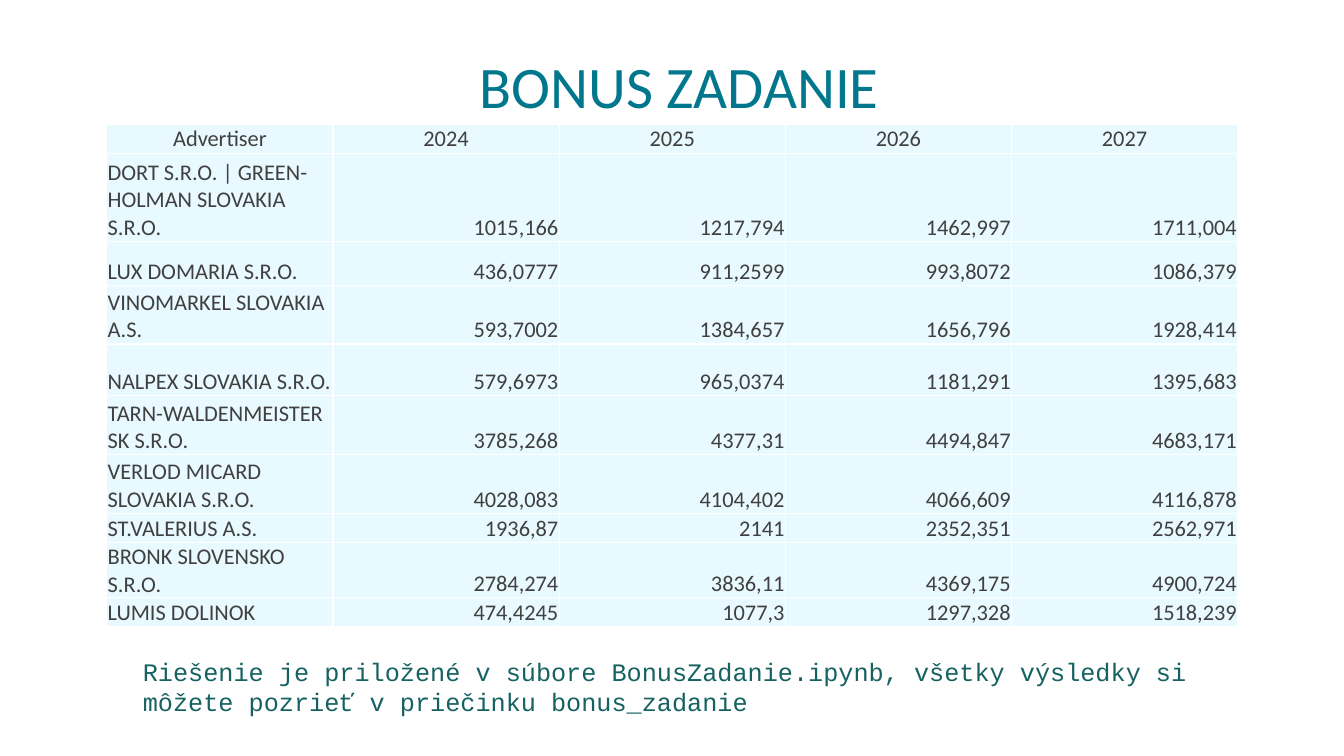
from lxml.etree import SubElement
from pptx import Presentation
from pptx.dml.color import RGBColor
from pptx.enum.text import MSO_ANCHOR, PP_ALIGN
from pptx.oxml.ns import qn
from pptx.util import Pt

TEAL = RGBColor(0x00, 0x77, 0x8D)
DARK_TEAL = RGBColor(0x16, 0x62, 0x62)
GRAY = RGBColor(0x40, 0x40, 0x40)
PALE_BLUE = RGBColor(0xE8, 0xF9, 0xFF)
WHITE = RGBColor(0xFF, 0xFF, 0xFF)

FORECAST = [
    ("Advertiser", "2024", "2025", "2026", "2027"),
    ("DORT S.R.O. | GREEN-HOLMAN SLOVAKIA S.R.O.", "1015,166", "1217,794", "1462,997", "1711,004"),
    ("LUX DOMARIA S.R.O.", "436,0777", "911,2599", "993,8072", "1086,379"),
    ("VINOMARKEL SLOVAKIA A.S.", "593,7002", "1384,657", "1656,796", "1928,414"),
    ("NALPEX SLOVAKIA S.R.O.", "579,6973", "965,0374", "1181,291", "1395,683"),
    ("TARN-WALDENMEISTER SK S.R.O.", "3785,268", "4377,31", "4494,847", "4683,171"),
    ("VERLOD MICARD SLOVAKIA S.R.O.", "4028,083", "4104,402", "4066,609", "4116,878"),
    ("ST.VALERIUS A.S.", "1936,87", "2141", "2352,351", "2562,971"),
    ("BRONK SLOVENSKO S.R.O.", "2784,274", "3836,11", "4369,175", "4900,724"),
    ("LUMIS DOLINOK", "474,4245", "1077,3", "1297,328", "1518,239"),
]
ROW_HEIGHTS = [21, 62.7, 31.5, 42, 37, 42, 42, 21, 37, 21]


class SlideBuilder:
    font_name = "Calibri"
    table_size = 16

    def __init__(self, slide):
        self.slide = slide

    def style(self, paragraph, size, color, align, font_name=None):
        paragraph.alignment = align
        paragraph.font.name = font_name or self.font_name
        paragraph.font.size = Pt(size)
        paragraph.font.color.rgb = color

    def text(self, content, left, top, width, height, size, color,
             align=PP_ALIGN.LEFT, anchor=MSO_ANCHOR.TOP, font_name=None, spacing=1.0):
        box = self.slide.shapes.add_textbox(Pt(left), Pt(top), Pt(width), Pt(height))
        frame = box.text_frame
        frame.word_wrap = True
        frame.vertical_anchor = anchor
        paragraph = frame.paragraphs[0]
        paragraph.text = content
        paragraph.line_spacing = spacing
        self.style(paragraph, size, color, align, font_name)

    def borders(self, cell):
        properties = cell._tc.get_or_add_tcPr()
        for side in ("lnL", "lnR", "lnT", "lnB"):
            line = SubElement(properties, qn(f"a:{side}"), w=str(Pt(1)))
            fill = SubElement(line, qn("a:solidFill"))
            SubElement(fill, qn("a:srgbClr"), val=str(WHITE))

    def cell(self, cell, content, align, anchor):
        cell.text = content
        cell.margin_left = cell.margin_right = cell.margin_top = Pt(0.6)
        cell.margin_bottom = 0
        cell.vertical_anchor = anchor
        self.borders(cell)
        cell.fill.solid()
        cell.fill.fore_color.rgb = PALE_BLUE
        self.style(cell.text_frame.paragraphs[0], self.table_size, GRAY, align)

    def table(self, rows, heights, left, top, width):
        frame = self.slide.shapes.add_table(
            len(rows), len(rows[0]), Pt(left), Pt(top), Pt(width), Pt(sum(heights)))
        table = frame.table
        table.first_row = table.horz_banding = False
        for row, height in zip(table.rows, heights):
            row.height = Pt(height)
        for row_index, values in enumerate(rows):
            for column_index, value in enumerate(values):
                if row_index == 0:
                    align, anchor = PP_ALIGN.CENTER, MSO_ANCHOR.TOP
                else:
                    align = PP_ALIGN.RIGHT if column_index else PP_ALIGN.LEFT
                    anchor = MSO_ANCHOR.BOTTOM
                self.cell(table.cell(row_index, column_index), value, align, anchor)


def main():
    deck = Presentation()
    deck.slide_width, deck.slide_height = Pt(960), Pt(540)
    page = SlideBuilder(deck.slides.add_slide(deck.slide_layouts[6]))
    page.text("BONUS ZADANIE", 42.5, 9.4, 885.6, 79.9, 42, TEAL,
              PP_ALIGN.CENTER, MSO_ANCHOR.BOTTOM, spacing=0.85)
    page.table(FORECAST, ROW_HEIGHTS, 76.3, 88.6, 807.8)
    page.text("Riešenie je priložené v súbore BonusZadanie.ipynb, všetky výsledky si "
              "môžete pozrieť v priečinku bonus_zadanie",
              95, 465.1, 789.1, 51.1, 18, DARK_TEAL, font_name="Courier New")
    deck.save("out.pptx")


if __name__ == "__main__":
    main()
